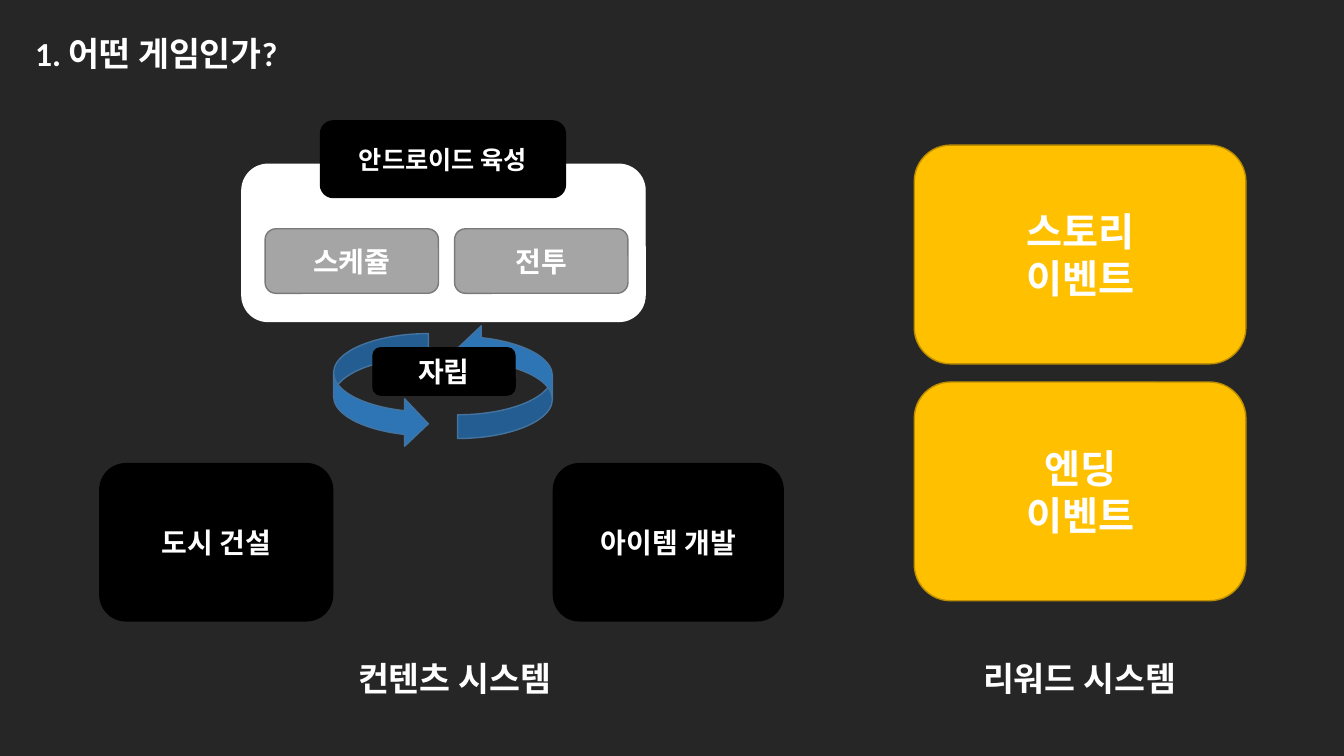
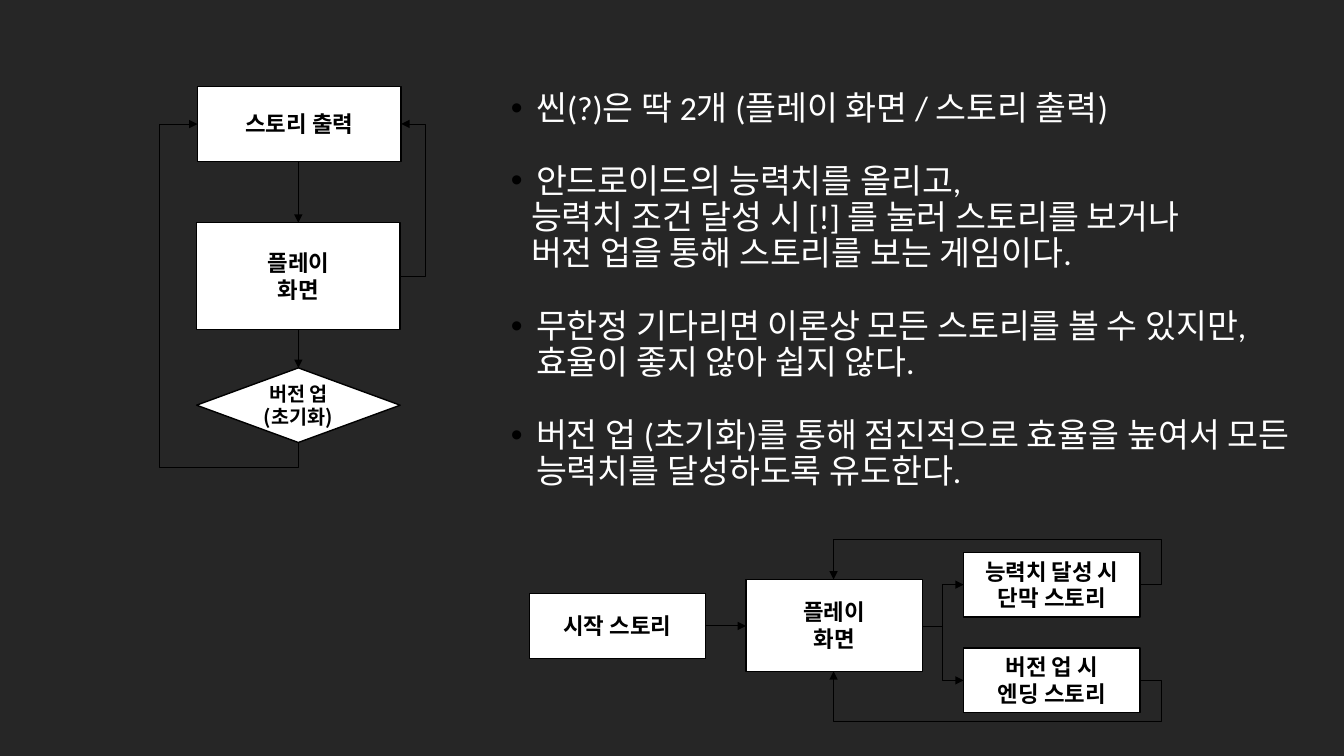
from lxml import etree
from pptx import Presentation
from pptx import util as u
from pptx.dml.color import RGBColor
from pptx.enum import shapes, text
from pptx.oxml import ns

EMU_PER_PX = 9144
COLORS = {
    "ground": "262626", "white": "FFFFFF", "black": "000000",
    "gray": "A5A5A5", "gray_edge": "7A7A7A",
    "blue": "2E75B6", "blue_edge": "43739E",
    "gold": "FFC000", "gold_edge": "BD8E00",
}
BODY_FONT = "Calibri"
FLOW_FONT = "Noto Sans CJK KR"
SHAPE = shapes.MSO_SHAPE
CENTER = text.PP_ALIGN.CENTER


def px(*lengths):
    """Turn px lengths into a list of EMU."""
    return [u.Emu(round(length * EMU_PER_PX)) for length in lengths]


def color(name):
    """Look up a named colour."""
    return RGBColor.from_string(COLORS[name])


def add_xml(parent, tag, **attributes):
    """Append a drawing element with attributes."""
    return etree.SubElement(
        parent, ns.qn(tag), {key: str(value) for key, value in attributes.items()})


def write_lines(frame, lines, size, tint="white", bold=True, font=BODY_FONT, align=CENTER):
    """Fill a text frame, one paragraph a line."""
    frame.word_wrap = True
    for index, line in enumerate(lines):
        paragraph = frame.paragraphs[0] if index == 0 else frame.add_paragraph()
        paragraph.text = line
        paragraph.alignment = align
        paragraph.font.name = font
        paragraph.font.size = u.Pt(size)
        paragraph.font.bold = bold
        paragraph.font.color.rgb = color(tint)
    return frame.paragraphs


def add_box(slide, kind, box, fill, edge, lines=(), size=20, tint="white", font=BODY_FONT):
    """Draw a filled shape with centred bold text."""
    shape = slide.shapes.add_shape(kind, *px(*box))
    shape.shadow.inherit = False
    shape.fill.solid()
    shape.fill.fore_color.rgb = color(fill)
    shape.line.color.rgb = color(edge)
    shape.line.width = u.Pt(1)
    frame = shape.text_frame
    frame.margin_left = frame.margin_right = frame.margin_top = frame.margin_bottom = 0
    frame.vertical_anchor = text.MSO_ANCHOR.MIDDLE
    write_lines(frame, lines, size, tint, font=font)
    return shape


def add_label(slide, box, lines, size=24, **style):
    """Place a text box and return its paragraphs."""
    return write_lines(slide.shapes.add_textbox(*px(*box)).text_frame, lines, size, **style)


def add_title(slide, title):
    """Place the slide title."""
    add_label(slide, (25, 32, 856, 62), [title], align=text.PP_ALIGN.LEFT)[0].line_spacing = 0.9


def add_arrow(slide, start, end, bends=(), upright=False):
    """Join two points, through bends listed in turn along each axis."""
    (x1, y1), (x2, y2) = start, end
    ends = (x1, y1, x2, y2)
    if upright:
        mid_x, mid_y = (x1 + x2) / 2, (y1 + y2) / 2
        ends = (mid_x + y1 - mid_y, mid_y - x1 + mid_x,
                mid_x + y2 - mid_y, mid_y - x2 + mid_x)
    kind = shapes.MSO_CONNECTOR.ELBOW if bends else shapes.MSO_CONNECTOR.STRAIGHT
    arrow = slide.shapes.add_connector(kind, *px(*ends))
    arrow.line.color.rgb = color("black")
    arrow.line.width = u.Pt(0.5 if bends else 0.75)
    properties = arrow._element.spPr
    if upright:
        properties.find(ns.qn("a:xfrm")).set("rot", "5400000")
    if bends:
        geometry = properties.find(ns.qn("a:prstGeom"))
        geometry.set("prst", f"bentConnector{len(bends) + 2}")
        for guide in list(geometry):
            geometry.remove(guide)
        guides = add_xml(geometry, "a:avLst")
        for index, bend in enumerate(bends):
            axis = (index + upright) % 2
            share = (bend - start[axis]) / (end[axis] - start[axis])
            add_xml(guides, "a:gd", name=f"adj{index + 1}", fmla=f"val {round(share * 100000)}")
    add_xml(properties.find(ns.qn("a:ln")), "a:tailEnd", type="triangle")
    add_xml(properties, "a:effectLst")


def content_system(slide, left, top):
    """Draw the content system: three activities around a cycle."""
    rounded = SHAPE.ROUNDED_RECTANGLE

    def panel(x, y, width, height, fill, edge, name="", size=20):
        add_box(slide, rounded, (left + x, top + y, width, height),
                fill, edge, [name] if name else (), size)

    panel(0, 340, 231, 156, "black", "black", "도시 건설")
    panel(450, 340, 228, 156, "black", "black", "아이템 개발")
    panel(141, 43, 400, 156, "white", "white")
    panel(219, 0, 243, 76, "black", "black", "안드로이드 육성", 18)
    for index, activity in enumerate(["스케쥴", "전투"]):
        panel(164 + 188 * index, 107, 172, 64, "gray", "gray_edge", activity)
    for x, y, turn in [(355, 202, 180), (232, 211, 0)]:
        cycle = add_box(slide, SHAPE.CURVED_RIGHT_ARROW, (left + x, top + y, 94, 113),
                        "blue", "blue_edge")
        cycle.rotation = turn
    panel(271, 225, 141, 47, "black", "black", "자립")
    add_label(slide, (left + 201, top + 528, 302, 50), ["컨텐츠 시스템"])


def reward_system(slide, left, top):
    """Draw the reward system: two stacked events."""
    for index, event in enumerate(["스토리", "엔딩"]):
        add_box(slide, SHAPE.ROUNDED_RECTANGLE, (left, top + 235 * index, 329, 217),
                "gold", "gold_edge", [event, "이벤트"], 28)
    add_label(slide, (left + 13, top + 504, 302, 50), ["리워드 시스템"])


def add_step(slide, box, lines, kind=SHAPE.FLOWCHART_PROCESS, size=16):
    """Draw one white flowchart step."""
    add_box(slide, kind, box, "white", "black", lines, size, "black", FLOW_FONT)


def scene_flow(slide, left, top):
    """Draw the vertical flow between scenes."""
    width = 202
    middle, right = left + width // 2, left + width
    play, decision = top + 135, top + 279
    add_step(slide, (left + 1, top, width, 74), ["스토리 출력"])
    add_step(slide, (left, play, width, 106), ["플레이", "화면"])
    add_step(slide, (left, decision, width, 74), ["버전 업", "(초기화)"],
             SHAPE.FLOWCHART_DECISION, 14)
    add_arrow(slide, (middle, top + 74), (middle, play))
    add_arrow(slide, (middle, play + 106), (middle, decision))
    add_arrow(slide, (right, play + 53), (right + 1, top + 37), [right + 25])
    add_arrow(slide, (middle, decision + 74), (left + 1, top + 37),
              [decision + 99, left - 37], upright=True)


def game_summary(slide, left, top):
    """Write the bulleted description of the game."""
    points = [
        ["씬(?)은 딱 2개 (플레이 화면 / 스토리 출력)"],
        ["안드로이드의 능력치를 올리고,",
         "능력치 조건 달성 시 [!] 를 눌러 스토리를 보거나",
         "버전 업을 통해 스토리를 보는 게임이다."],
        ["무한정 기다리면 이론상 모든 스토리를 볼 수 있지만, 효율이 좋지 않아 쉽지 않다."],
        ["버전 업 (초기화)를 통해 점진적으로 효율을 높여서 모든 능력치를 달성하도록 유도한다."],
    ]
    lines = [line for point in points for line in point]
    heads = {point[0] for point in points}
    paragraphs = add_label(slide, (left, top, 808, 557), lines,
                           bold=False, align=text.PP_ALIGN.LEFT)
    for index, paragraph in enumerate(paragraphs):
        paragraph.line_spacing = 0.9
        properties = paragraph._p.get_or_add_pPr()
        is_head = lines[index] in heads
        margin, indent = px(25, -25) if is_head else px(20, 0)
        properties.set("marL", str(margin))
        properties.set("indent", str(indent))
        if is_head:
            paragraph.space_before = u.Pt(26 if index else 0)
            bullet_color = add_xml(properties, "a:buClr")
            add_xml(bullet_color, "a:srgbClr", val=COLORS["black"])
            add_xml(properties, "a:buFont", typeface="Arial")
            add_xml(properties, "a:buChar", char="•")


def story_flow(slide, left, top):
    """Draw the horizontal flow from the opening to both kinds of story."""
    width, height = 175, 64
    play, story = left + 215, left + 431
    axis, play_top, play_bottom = top + 73, top + 27, top + 118
    add_step(slide, (left, top + 41, width, height), ["시작 스토리"])
    add_step(slide, (play, play_top, width, play_bottom - play_top), ["플레이", "화면"])
    add_arrow(slide, (left + width, axis), (play, axis))
    outcomes = [
        (0, ["능력치 달성 시", "단막 스토리"], play_top, top - 13),
        (95, ["버전 업 시", "엔딩 스토리"], play_bottom, top + 168),
    ]
    for offset, lines, entry, loop in outcomes:
        center = top + offset + height // 2
        add_step(slide, (story, top + offset, width, height), lines)
        add_arrow(slide, (play + width, axis), (story, center), [story - 21])
        add_arrow(slide, (story + width, center), (play + width // 2, entry),
                  [story + width + 21, loop])


def add_dark_slide(deck):
    """Add a blank slide on the dark ground."""
    slide = deck.slides.add_slide(deck.slide_layouts[6])
    slide.background.fill.solid()
    slide.background.fill.fore_color.rgb = color("ground")
    return slide


def main():
    """Build and save the deck."""
    deck = Presentation()
    deck.slide_width, deck.slide_height = px(1333.33, 750)

    systems = add_dark_slide(deck)
    content_system(systems, 99, 120)
    add_title(systems, "1. 어떤 게임인가?")
    reward_system(systems, 907, 144)

    flows = add_dark_slide(deck)
    scene_flow(flows, 195, 86)
    game_summary(flows, 497, 86)
    story_flow(flows, 525, 548)

    deck.save("out.pptx")


if __name__ == "__main__":
    main()
